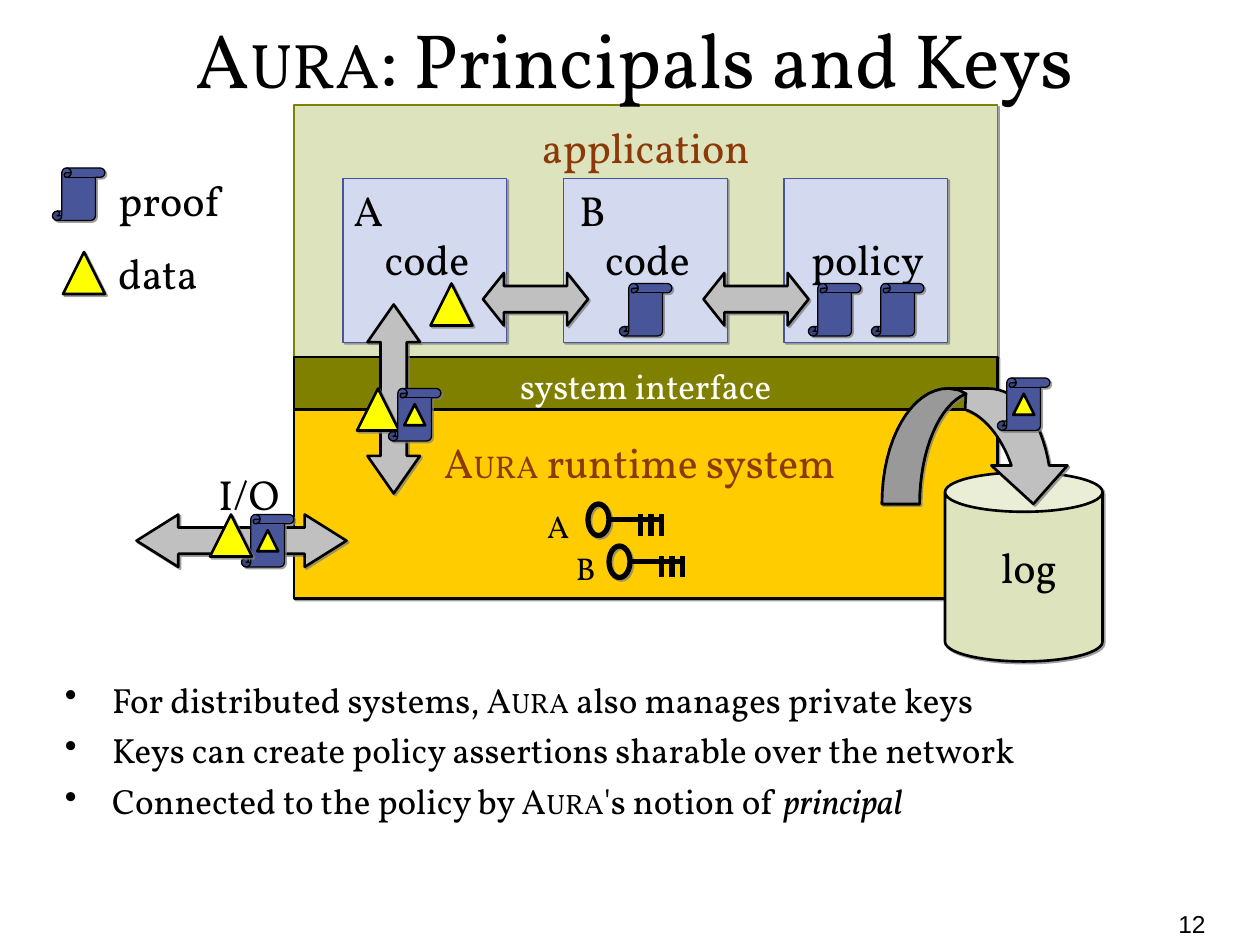
from dataclasses import dataclass
from lxml import etree
from pptx import Presentation
from pptx import util as u
from pptx.dml import color
from pptx.enum import shapes, text
from pptx.oxml import ns

Pt = u.Pt
G = shapes.MSO_SHAPE
FONT = "Vollkorn"
BLACK, WHITE, RUST = "000000", "FFFFFF", "8C3908"
SAGE, OLIVE, GOLD, PALE = "DDE3BD", "808000", "FFCC00", "D3DAF0"
BLUE, YELLOW, GRAY, DARK_GRAY = "485599", "FFFF00", "C0C0C0", "999999"
CENTER, LEFT, RIGHT = text.PP_ALIGN.CENTER, text.PP_ALIGN.LEFT, text.PP_ALIGN.RIGHT


@dataclass
class Run:
    text: str
    size: float
    italic: bool = False


@dataclass
class Box:
    x: float
    y: float
    w: float
    h: float

    def lengths(self):
        return [Pt(v) for v in (self.x, self.y, self.w, self.h)]


@dataclass
class Label:
    box: Box
    runs: list
    color: str = BLACK
    align: int = CENTER


def rgb(value: str):
    return color.RGBColor.from_string(value)


def add_runs(p, runs: list, value: str, font: str = FONT) -> None:
    for run in runs:
        r = p.add_run()
        r.text = run.text
        r.font.name = font
        r.font.size = Pt(run.size)
        r.font.color.rgb = rgb(value)
        if run.italic:
            r.font.italic = True


def style(sp, fill: str | None, line: str, width: float, shadow: bool) -> None:
    if fill:
        sp.fill.solid()
        sp.fill.fore_color.rgb = rgb(fill)
    else:
        sp.fill.background()
    sp.line.color.rgb = rgb(line)
    sp.line.width = Pt(width)
    sp.shadow.inherit = False
    if shadow:
        effects = sp.element.spPr.find(ns.qn("a:effectLst"))
        outer = etree.SubElement(effects, ns.qn("a:outerShdw"), blurRad="0",
                                 dist=str(Pt(1.4)), dir="2700000", algn="ctr", rotWithShape="0")
        clr = etree.SubElement(outer, ns.qn("a:srgbClr"), val="808080")
        etree.SubElement(clr, ns.qn("a:alpha"), val="75000")


def add_shape(s, kind, box: Box, fill, line=BLACK, width=1.5, adj=(), shadow=True):
    sp = s.shapes.add_shape(kind, *box.lengths())
    for i, value in enumerate(adj):
        sp.adjustments[i] = value
    style(sp, fill, line, width, shadow)
    return sp


def add_label(s, label: Label) -> None:
    tf = s.shapes.add_textbox(*label.box.lengths()).text_frame
    tf.word_wrap = False
    tf.auto_size = text.MSO_AUTO_SIZE.SHAPE_TO_FIT_TEXT
    tf.vertical_anchor = text.MSO_ANCHOR.MIDDLE
    p = tf.paragraphs[0]
    p.alignment = label.align
    add_runs(p, label.runs, label.color)


def add_proof(s, x: float, y: float, sealed: bool = False) -> None:
    add_shape(s, G.VERTICAL_SCROLL, Box(x, y, 30, 30), BLUE, width=0.75, adj=[0.179])
    if sealed:
        add_data(s, x + 9, y + 9, 12, False)


def add_data(s, x: float, y: float, size: float = 24, shadow: bool = True) -> None:
    add_shape(s, G.ISOSCELES_TRIANGLE, Box(x, y, size, size), YELLOW, shadow=shadow)


def add_arrow(s, x: float, y: float, length: float, head: float, rotation: float = 0) -> None:
    sp = add_shape(s, G.LEFT_RIGHT_ARROW, Box(x, y, length, 30), GRAY, adj=[0.5, head])
    sp.rotation = rotation


def add_line(s, x1: float, y1: float, x2: float, y2: float) -> None:
    c = s.shapes.add_connector(shapes.MSO_CONNECTOR.STRAIGHT, Pt(x1), Pt(y1), Pt(x2), Pt(y2))
    c.line.color.rgb = rgb(BLACK)
    c.line.width = Pt(3)
    etree.SubElement(c.element.spPr, ns.qn("a:effectLst"))


def add_key(s, x: float, y: float) -> None:
    add_shape(s, G.OVAL, Box(x, y, 12, 18), None, width=3)
    add_line(s, x + 12, y + 9, x + 42, y + 9)
    for tooth in (30, 36, 42):
        add_line(s, x + tooth, y + 6, x + tooth, y + 18)


def bezier(a, b, c, d, steps: int = 16) -> list:
    points = []
    for i in range(steps + 1):
        t = i / steps
        weights = ((1 - t) ** 3, 3 * t * (1 - t) ** 2, 3 * t * t * (1 - t), t ** 3)
        points.append(tuple(sum(k * q[j] for k, q in zip(weights, (a, b, c, d))) for j in (0, 1)))
    return points


def add_outline(s, points: list, fill: str, shadow: bool) -> None:
    scaled = [(round(x * 100), round(y * 100)) for x, y in points]
    builder = s.shapes.build_freeform(*scaled[0], scale=Pt(1) / 100)
    builder.add_line_segments(scaled[1:], close=True)
    style(builder.convert_to_shape(), fill, BLACK, 1.5, shadow)


def add_log_arrow(s) -> None:
    rise = bezier((504, 288), (504, 251), (521, 222), (542, 222))
    fall = bezier((564, 222), (582, 222), (595, 239), (599.5, 266))
    head = [(610, 266), (590.5, 288), (566.5, 266)]
    inner = bezier((578, 266), (572, 249), (562, 237.5), (551.5, 234))
    back = bezier((552, 225), (537, 231), (525.5, 257), (525.5, 288))
    add_outline(s, rise + fall + head + inner + back, GRAY, True)
    add_outline(s, rise + [(548, 223)] + back, DARK_GRAY, False)


def add_bullets(s, box: Box, items: list) -> None:
    tf = s.shapes.add_textbox(*box.lengths()).text_frame
    tf.word_wrap = True
    for i, runs in enumerate(items):
        p = tf.add_paragraph() if i else tf.paragraphs[0]
        pPr = p._p.get_or_add_pPr()
        pPr.set("marL", str(Pt(27)))
        pPr.set("indent", str(-Pt(27)))
        etree.SubElement(pPr, ns.qn("a:buChar"), char="•")
        if i:
            p.space_before = Pt(5)
        add_runs(p, runs, BLACK)


def aura(before: str, after: str, size: float, small: float) -> list:
    return [Run(before + "A", size), Run("URA", small), Run(after, size)]


def main() -> None:
    prs = Presentation()
    prs.slide_width, prs.slide_height = Pt(720), Pt(540)
    s = prs.slides.add_slide(prs.slide_layouts[5])

    for y, h, fill, line, width in ((60, 144, SAGE, OLIVE, 0.75), (204, 30, OLIVE, BLACK, 1.5),
                                    (234, 108, GOLD, BLACK, 1.5)):
        add_shape(s, G.RECTANGLE, Box(168, y, 402, h), fill, line, width)
    for i in range(3):
        add_shape(s, G.RECTANGLE, Box(196 + 126 * i, 102, 93.6, 93.6), PALE, BLUE, 0.75)

    title = s.shapes.title
    title.left, title.top, title.width, title.height = Box(30, 0, 666, 66).lengths()
    title.element.getparent().append(title.element)
    tf = title.text_frame
    tf.auto_size = text.MSO_AUTO_SIZE.NONE
    tf.vertical_anchor = text.MSO_ANCHOR.MIDDLE
    tf.paragraphs[0].alignment = CENTER
    add_runs(tf.paragraphs[0], aura("", ": Principals and Keys", 44, 36), BLACK)

    add_bullets(s, Box(30, 384, 666, 114), [
        aura("For distributed systems, ", " also manages private keys", 20, 16),
        [Run("Keys can create policy assertions sharable over the network", 20)],
        aura("Connected to the policy by ", "'s notion of ", 20, 16) + [Run("principal", 20, True)],
    ])

    add_shape(s, G.CAN, Box(540, 270, 90, 108), SAGE, adj=[0.25])
    add_arrow(s, 78, 294, 120, 0.796)
    for label in (
        Label(Box(290, 204, 158, 32), [Run("system interface", 20)], WHITE),
        Label(Box(302, 66, 134, 36), [Run("application", 24)], RUST),
        Label(Box(243, 246, 245, 36), aura("", " runtime system", 24, 18), RUST),
        Label(Box(564, 306, 48, 36), [Run("log", 24)]),
        Label(Box(207.5, 130, 73, 36), [Run("code", 24)]),
        Label(Box(333.5, 130, 73, 36), [Run("code", 24)]),
        Label(Box(451.5, 130, 88.5, 36), [Run("policy", 24)]),
        Label(Box(60.5, 96, 72, 36), [Run("proof", 24)]),
        Label(Box(60.5, 138, 60.5, 36), [Run("data", 24)], align=LEFT),
        Label(Box(114.5, 264, 55.5, 36), [Run("I/O", 24)]),
        Label(Box(305, 286, 28, 29), [Run("A", 18)]),
        Label(Box(322, 310, 25, 29), [Run("B", 18)]),
        Label(Box(194, 102, 33, 36), [Run("A", 24)]),
        Label(Box(324, 102, 29, 36), [Run("B", 24)]),
    ):
        add_label(s, label)

    add_log_arrow(s)
    for x in (276, 402):
        add_arrow(s, x, 156, 60, 0.398)
    add_arrow(s, 171, 213, 108, 0.716, 270)
    for x, y in ((354, 162), (462, 162), (498, 162), (30, 96)):
        add_proof(s, x, y)
    for x, y in ((246, 162), (204, 222), (36, 144)):
        add_data(s, x, y)
    for x, y in ((222, 222), (138, 294), (570, 216)):
        add_proof(s, x, y, sealed=True)
    add_data(s, 120, 294)
    for x, y in ((336, 288), (348, 312)):
        add_key(s, x, y)

    tf = s.shapes.add_textbox(*Box(546, 516, 150, 24).lengths()).text_frame
    tf.word_wrap = True
    tf.paragraphs[0].alignment = RIGHT
    add_runs(tf.paragraphs[0], [Run("12", 14)], BLACK, "Arial")
    prs.save("out.pptx")


if __name__ == "__main__":
    main()
